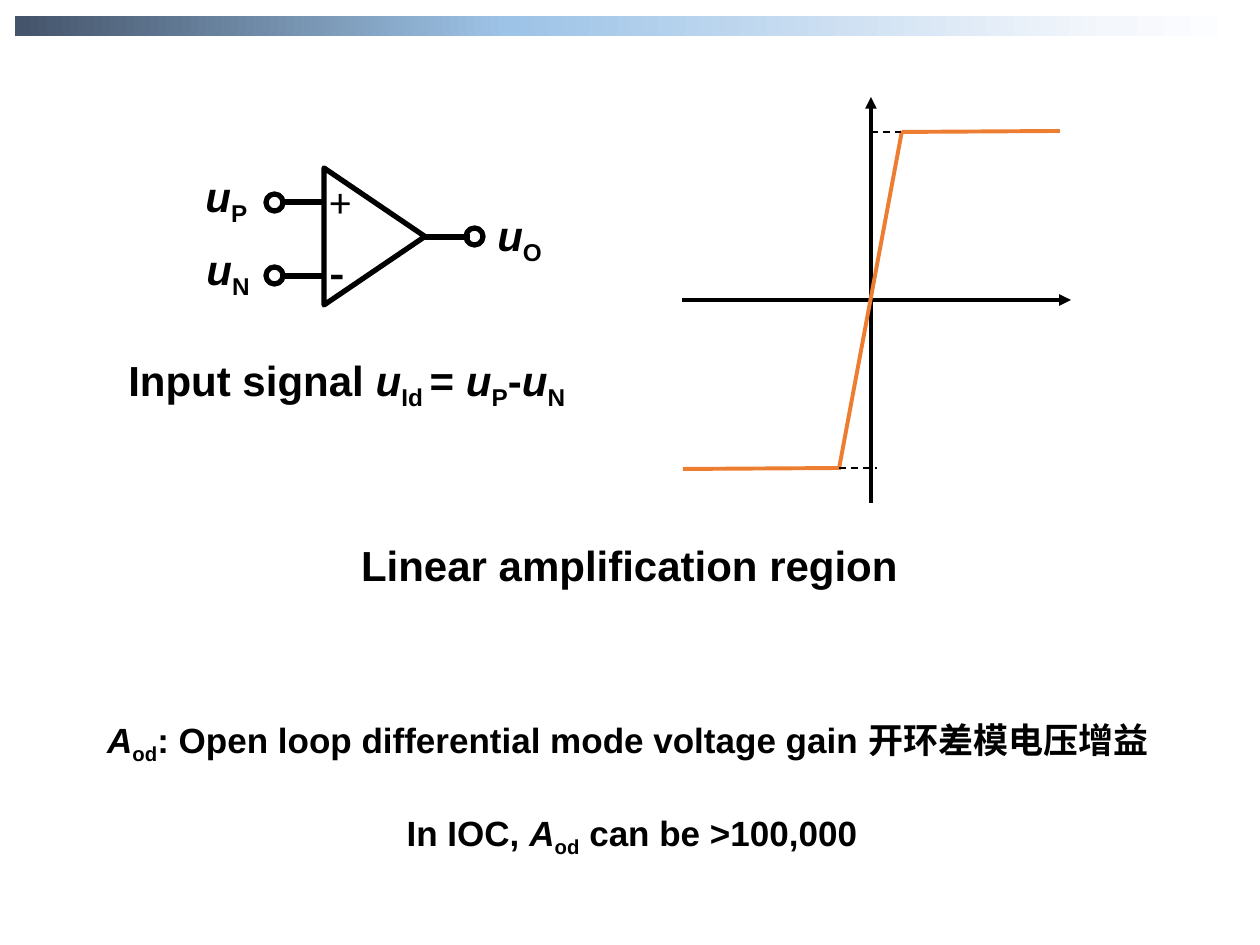
from lxml import etree
from pptx import Presentation
from pptx.dml.color import RGBColor as RGB
from pptx.enum.dml import MSO_LINE as Dash
from pptx.enum.shapes import MSO_CONNECTOR as Conn, MSO_SHAPE as Shape
from pptx.enum.text import MSO_ANCHOR as Anchor, MSO_AUTO_SIZE as Fit, PP_ALIGN as Align
from pptx.oxml.ns import qn
from pptx.util import Pt

PX = 914400 // 126
COLORS = {"ink": "000000", "curve": "ED7D31", "edge": "FFFFFF"}
CJK = "Noto Sans CJK SC"

prs = Presentation()
prs.slide_width, prs.slide_height = 1260 * PX, 945 * PX
slide = prs.slides.add_slide(prs.slide_layouts[6])
shapes = slide.shapes


def add_line(x1, y1, x2, y2, color="ink", width=3, dash=False, arrow=False):
    line = shapes.add_connector(Conn.STRAIGHT, x1 * PX, y1 * PX, x2 * PX, y2 * PX)
    line.line.color.rgb = RGB.from_string(COLORS[color])
    line.line.width = Pt(width)
    if dash:
        line.line.dash_style = Dash.DASH
    if arrow:
        etree.SubElement(line.line._get_or_add_ln(), qn("a:tailEnd"), type="triangle")
    etree.SubElement(line._element.spPr, qn("a:effectLst"))


def add_text(x, y, w, h, parts, size=24, align=Align.LEFT, font="Arial", bold=True):
    box = shapes.add_textbox(x * PX, y * PX, w * PX, h * PX)
    frame = box.text_frame
    frame.word_wrap = True
    frame.auto_size = Fit.SHAPE_TO_FIT_TEXT
    frame.vertical_anchor = Anchor.TOP
    para = frame.paragraphs[0]
    para.alignment = align
    for text, style in parts:
        run = para.add_run()
        run.text = text
        face = run.font
        face.size, face.bold, face.italic = Pt(size), bold, style == "var"
        face.color.rgb = RGB.from_string(COLORS["ink"])
        face.name = CJK if style == "cjk" else font
        props = face._element
        if face.name == CJK:
            etree.SubElement(props, qn("a:ea"), typeface=CJK)
        if style == "sub":
            props.set("baseline", "-25000")
    return box


bar = shapes.add_shape(Shape.RECTANGLE, 15 * PX, 16 * PX, 1230 * PX, 20 * PX)
bar.shadow.inherit = False
bar.line.fill.background()
bar.fill.gradient()
bar.fill.gradient_angle = 0
stops = bar._element.spPr.find(qn("a:gradFill")).find(qn("a:gsLst"))
for stop in list(stops):
    stops.remove(stop)
for pos, color in ((0, "44546A"), (40, "9DC3E6"), (89, "F4F7FC"), (100, "FFFFFF")):
    stop = etree.SubElement(stops, qn("a:gs"), pos=str(pos * 1000))
    etree.SubElement(stop, qn("a:srgbClr"), val=color)

for x1, x2, y in ((325, 280, 202), (325, 280, 276), (425, 470, 237)):
    add_line(x1, y, x2, y)

for sign, y, font, bold in (("+", 176, "Calibri", False), ("-", 248, CJK, True)):
    box = add_text(330, y, 21, 50, [(sign, "")], font=font, bold=bold)
    frame = box.text_frame
    frame.word_wrap = False
    frame.margin_left = frame.margin_right = frame.margin_top = frame.margin_bottom = 0
    box.line.color.rgb = RGB.from_string(COLORS["edge"])
    box.line.width = Pt(3)

for kind, x, y, w, h, turn in (
    (Shape.ISOSCELES_TRIANGLE, 306, 186, 137, 101, 90),
    (Shape.OVAL, 466, 228, 17, 17, 0),
    (Shape.OVAL, 266, 194, 17, 17, 0),
    (Shape.OVAL, 266, 267, 17, 17, 0),
):
    part = shapes.add_shape(kind, x * PX, y * PX, w * PX, h * PX)
    part.rotation = turn
    part.shadow.inherit = False
    part.fill.background()
    part.line.color.rgb = RGB.from_string(COLORS["ink"])
    part.line.width = Pt(3)

for name, x, y in (("P", 193, 164), ("N", 194, 237), ("O", 485, 203)):
    add_text(x, y, 73, 74, [("u", "var"), (name, "sub")])

add_text(116, 348, 508, 74, [
    ("Input signal ", ""), ("u", "var"), ("Id ", "sub"), ("= ", ""),
    ("u", "var"), ("P", "sub"), ("-", ""), ("u", "var"), ("N", "sub"),
])
add_text(321, 533, 617, 63, [("Linear amplification region", "")], align=Align.CENTER)
add_text(74, 712, 1116, 66, [
    ("A", "var"), ("od", "sub"),
    (": Open loop differential mode voltage gain ", ""), ("开环差模电压增益 ", "cjk"),
], 20, Align.CENTER)
add_text(74, 805, 1116, 66, [
    ("In IOC, ", ""), ("A", "var"), ("od", "sub"), (" can be >100,000", ""),
], 20, Align.CENTER)

for ends in ((871, 503, 871, 97), (682, 300, 1071, 300)):
    add_line(*ends, width=2.25, arrow=True)
for ends in ((839, 469, 902, 131), (902, 132, 1060, 131), (683, 469, 841, 468)):
    add_line(*ends, color="curve", width=2.25)
for ends in ((871, 132, 901, 132), (839, 468, 877, 468)):
    add_line(*ends, width=1, dash=True)

prs.save("out.pptx")
